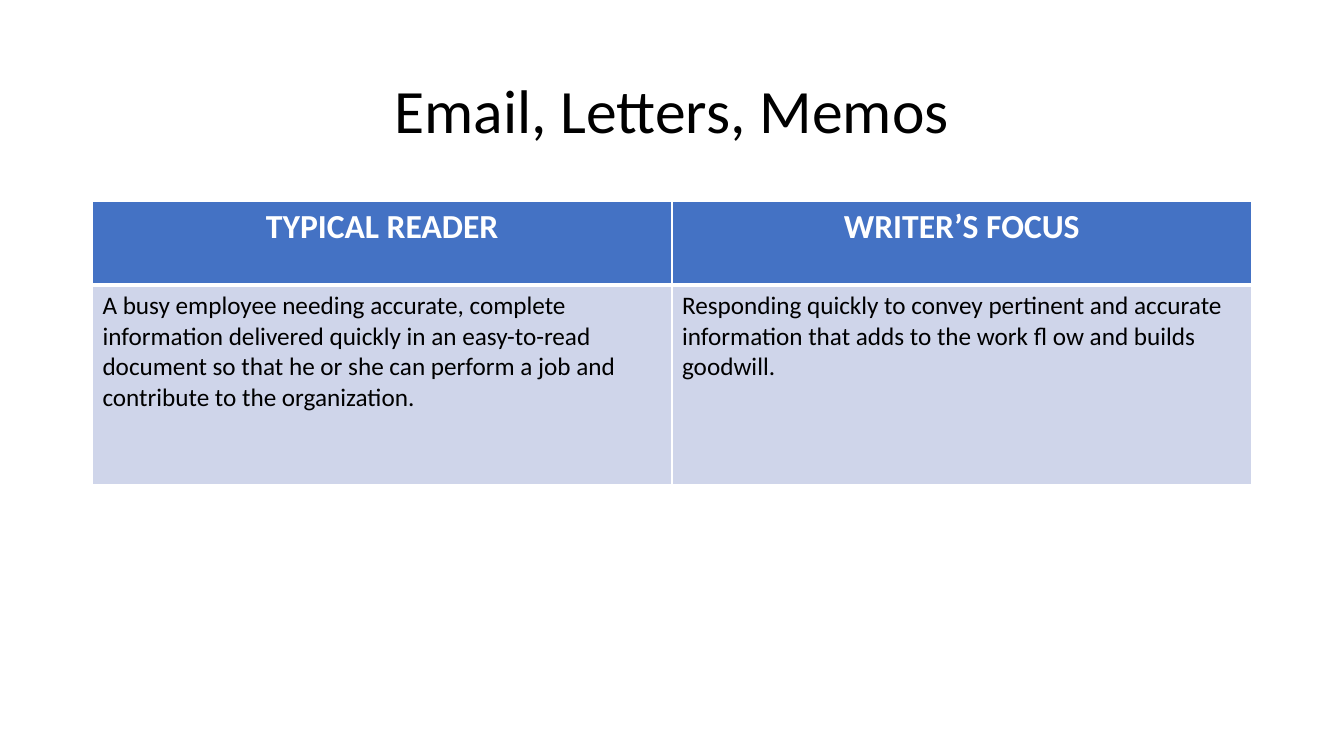
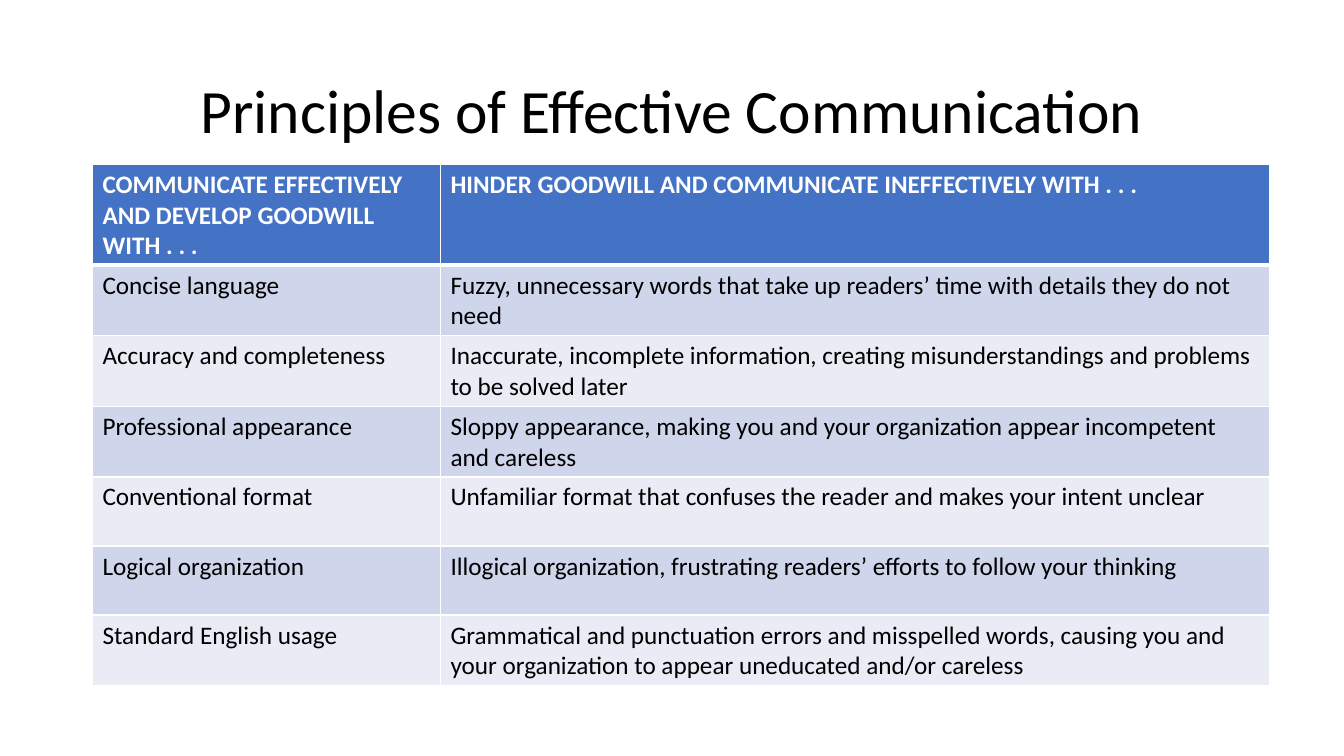
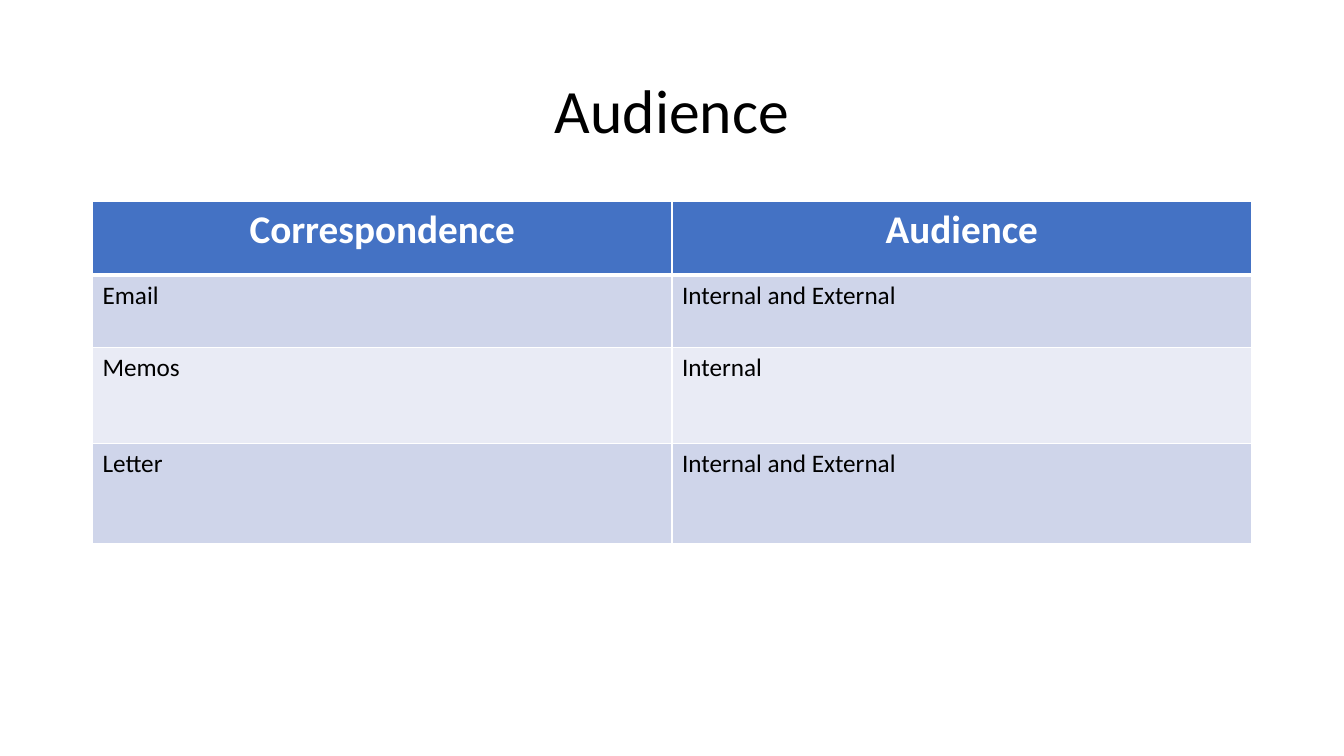
from lxml.etree import SubElement
from pptx import Presentation
from pptx.dml.color import RGBColor
from pptx.enum.text import MSO_ANCHOR, PP_ALIGN
from pptx.oxml.ns import qn
from pptx.util import Cm, Pt

COLORS = {"white": "FFFFFF", "black": "000000", "header": "4472C4",
          "odd": "CFD5EA", "even": "E9EBF5"}
FONT = "Calibri"
LEFT, CONTENT_WIDTH = 2.33, 29.21
TITLE_TOP, TITLE_HEIGHT = 1.01, 3.68
HALVES = [CONTENT_WIDTH / 2] * 2
TITLE_FORMAT = {"size": Pt(44), "bold": False}
BODY_FORMAT = {"size": Pt(18), "bold": False}

# Lengths in centimetres
SLIDES = [
    {
        "title": "Email, Letters, Memos",
        "top": 5.08, "columns": HALVES, "heights": [2.11, 5.03],
        "header_size": 24, "header_align": PP_ALIGN.CENTER,
        "rows": [
            ("TYPICAL READER", "WRITER’S FOCUS"),
            ("A busy employee needing accurate, complete information delivered quickly in an "
             "easy-to-read document so that he or she can perform a job and contribute to the "
             "organization.",
             "Responding quickly to convey pertinent and accurate information that adds to the "
             "work fl ow and builds goodwill."),
        ],
    },
    {
        "title": "Principles of Effective Communication",
        "top": 4.14, "columns": [8.77, 20.89], "heights": [1.74] * 7,
        "header_size": 18, "header_align": PP_ALIGN.LEFT,
        "rows": [
            ("COMMUNICATE EFFECTIVELY AND DEVELOP GOODWILL WITH . . .",
             "HINDER GOODWILL AND COMMUNICATE INEFFECTIVELY WITH . . ."),
            ("Concise language",
             "Fuzzy, unnecessary words that take up readers’ time with details they do not need"),
            ("Accuracy and completeness",
             "Inaccurate, incomplete information, creating misunderstandings and problems to be "
             "solved later"),
            ("Professional appearance",
             "Sloppy appearance, making you and your organization appear incompetent and careless"),
            ("Conventional format",
             "Unfamiliar format that confuses the reader and makes your intent unclear"),
            ("Logical organization",
             "Illogical organization, frustrating readers’ efforts to follow your thinking"),
            ("Standard English usage",
             "Grammatical and punctuation errors and misspelled words, causing you and your "
             "organization to appear uneducated and/or careless"),
        ],
    },
    {
        "title": "Audience",
        "top": 5.08, "columns": HALVES, "heights": [1.85, 1.83, 2.41, 2.54],
        "header_size": 28, "header_align": PP_ALIGN.CENTER,
        "rows": [
            ("Correspondence", "Audience"),
            ("Email", "Internal and External"),
            ("Memos", "Internal"),
            ("Letter", "Internal and External"),
        ],
    },
]


def write(frame, text, formats, color, align):
    para = frame.paragraphs[0]
    para.alignment = align
    span = para.add_run()
    span.text = text
    for name, value in {"name": FONT, **formats}.items():
        setattr(span.font, name, value)
    span.font.color.rgb = RGBColor.from_string(COLORS[color])
    return para


def add_title(page, text):
    box = page.shapes.add_textbox(Cm(LEFT), Cm(TITLE_TOP), Cm(CONTENT_WIDTH), Cm(TITLE_HEIGHT))
    frame = box.text_frame
    frame.word_wrap = True
    frame.vertical_anchor = MSO_ANCHOR.MIDDLE
    para = write(frame, text, TITLE_FORMAT, "black", PP_ALIGN.CENTER)
    para.line_spacing = 0.9


def set_borders(cell, widths):
    properties = cell._tc.get_or_add_tcPr()
    for side, width in widths.items():
        line = SubElement(properties, qn(f"a:ln{side}"), w=str(Pt(width)))
        fill = SubElement(line, qn("a:solidFill"))
        SubElement(fill, qn("a:srgbClr"), val=COLORS["white"])


def add_grid(page, content):
    rows, columns, heights = content["rows"], content["columns"], content["heights"]
    table = page.shapes.add_table(
        len(rows), len(columns), Cm(LEFT), Cm(content["top"]),
        Cm(sum(columns)), Cm(sum(heights))).table
    for column, width in zip(table.columns, columns):
        column.width = Cm(width)
    for row, height in zip(table.rows, heights):
        row.height = Cm(height)

    header_format = {"size": Pt(content["header_size"]), "bold": True}
    for row_index, texts in enumerate(rows):
        if row_index == 0:
            fill, formats, color = "header", header_format, "white"
            align = content["header_align"]
        else:
            fill = "odd" if row_index % 2 else "even"
            formats, color, align = BODY_FORMAT, "black", PP_ALIGN.LEFT
        borders = {"L": 1, "R": 1, "T": 3 if row_index == 1 else 1,
                   "B": 3 if row_index == 0 else 1}
        for column_index, text in enumerate(texts):
            cell = table.cell(row_index, column_index)
            set_borders(cell, borders)
            cell.fill.solid()
            cell.fill.fore_color.rgb = RGBColor.from_string(COLORS[fill])
            write(cell.text_frame, text, formats, color, align)


def main():
    deck = Presentation()
    deck.slide_width, deck.slide_height = Cm(33.87), Cm(19.05)
    for content in SLIDES:
        page = deck.slides.add_slide(deck.slide_layouts[6])
        add_title(page, content["title"])
        add_grid(page, content)
    deck.save("out.pptx")


if __name__ == "__main__":
    main()
